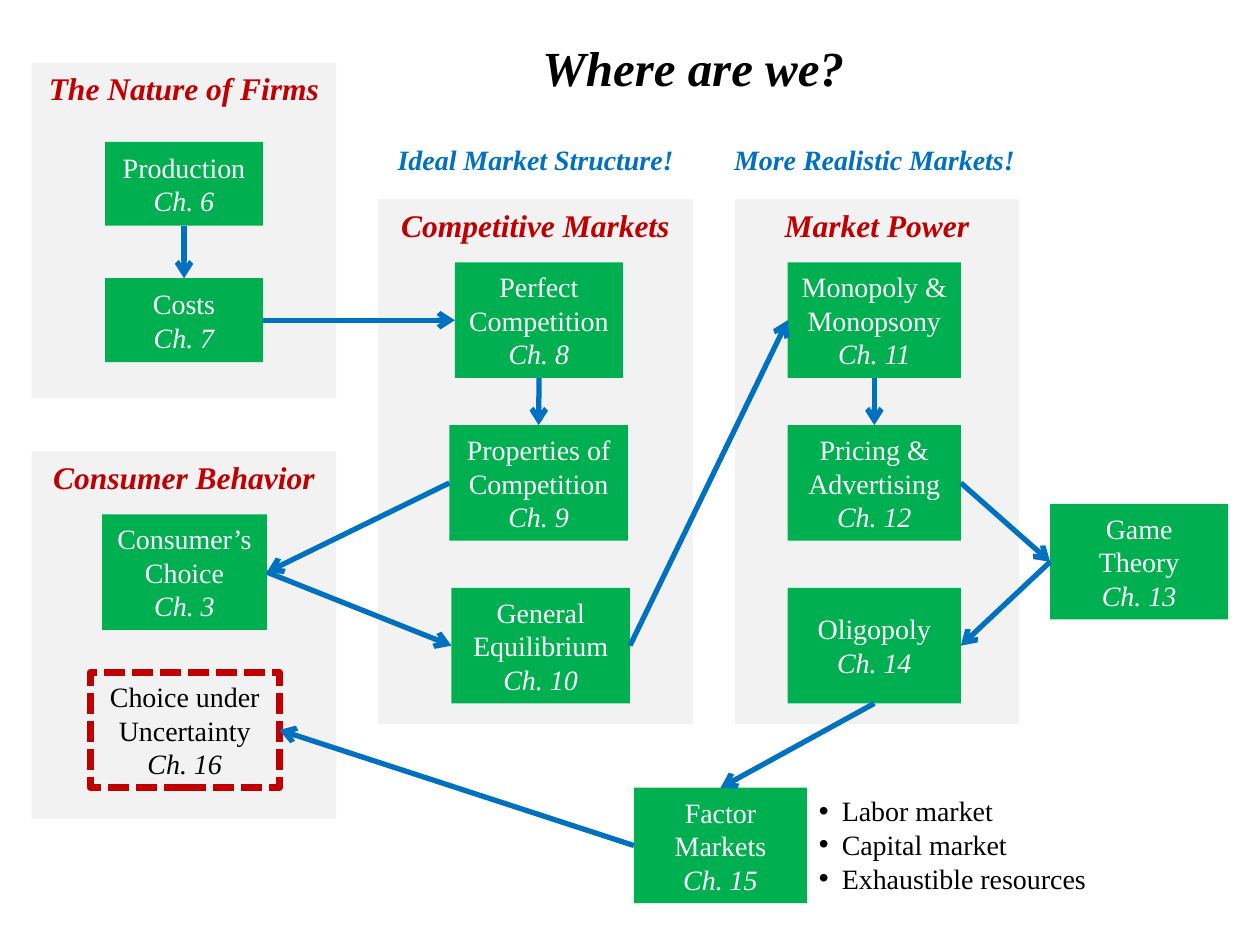
from dataclasses import dataclass

from lxml.etree import SubElement
from pptx import Presentation
from pptx.dml.color import RGBColor
from pptx.enum.dml import MSO_LINE
from pptx.enum.shapes import MSO_CONNECTOR, MSO_SHAPE
from pptx.enum.text import MSO_ANCHOR, MSO_AUTO_SIZE, PP_ALIGN
from pptx.oxml.ns import qn
from pptx.shapes.autoshape import Shape
from pptx.slide import Slide
from pptx.util import Cm, Pt

GREY = RGBColor(0xF2, 0xF2, 0xF2)
GREEN = RGBColor(0x00, 0xB0, 0x50)
BLUE = RGBColor(0x00, 0x70, 0xC0)
RED = RGBColor(0xC0, 0x00, 0x00)
WHITE = RGBColor(0xFF, 0xFF, 0xFF)
BLACK = RGBColor(0x00, 0x00, 0x00)
FONT = "Times New Roman"
TOP, LEFT, BOTTOM, RIGHT = range(4)  # connection sites of a rectangle
ROWS = [5.29 + 3.28 * i for i in range(3)]
LOW, TALL = 1.69, 2.33


@dataclass
class Panel:
    title: str
    x: float
    y: float
    w: float
    h: float


@dataclass
class Topic:
    name: str
    x: float
    y: float
    w: float
    h: float = TALL
    next: bool = False


@dataclass
class Label:
    text: str
    x: float
    y: float
    w: float
    h: float
    size: int
    color: RGBColor


PANELS = [
    Panel("The Nature of Firms", 0.64, 1.27, 6.14, 6.77),
    Panel("Competitive Markets", 7.62, 4.02, 6.35, 10.58),
    Panel("Consumer Behavior", 0.64, 9.1, 6.14, 7.41),
    Panel("Market Power", 14.82, 4.02, 5.72, 10.58),
]
# Topics by chapter
TOPICS = {
    6: Topic("Production", 2.12, 2.86, 3.18, LOW),
    7: Topic("Costs", 2.12, 5.61, 3.18, LOW),
    8: Topic("Perfect Competition", 9.17, ROWS[0], 3.39),
    9: Topic("Properties of Competition", 9.06, ROWS[1], 3.6),
    10: Topic("General Equilibrium", 9.1, ROWS[2], 3.6),
    3: Topic("Consumer’s Choice", 2.06, 10.37, 3.32),
    11: Topic("Monopoly & Monopsony", 15.88, ROWS[0], 3.49),
    12: Topic("Pricing & Advertising", 15.88, ROWS[1], 3.49),
    13: Topic("Game Theory", 21.17, 10.16, 3.59),
    14: Topic("Oligopoly", 15.88, ROWS[2], 3.49),
    15: Topic("Factor Markets", 12.78, 15.88, 3.49),
    16: Topic("Choice under Uncertainty", 1.82, 13.55, 3.81, next=True),
}
# From chapter and site, to chapter and site
ARROWS = [
    (6, BOTTOM, 7, TOP),
    (7, RIGHT, 8, LEFT),
    (8, BOTTOM, 9, TOP),
    (9, LEFT, 3, RIGHT),
    (3, RIGHT, 10, LEFT),
    (10, RIGHT, 11, LEFT),
    (11, BOTTOM, 12, TOP),
    (12, RIGHT, 13, LEFT),
    (13, LEFT, 14, RIGHT),
    (14, BOTTOM, 15, TOP),
    (15, LEFT, 16, RIGHT),
]
LABELS = [
    Label("Ideal Market Structure!", 7.6, 2.75, 6.4, 0.94, 16, BLUE),
    Label("More Realistic Markets!", 14.43, 2.75, 6.4, 0.94, 16, BLUE),
    Label("Where are we?", 8.03, 0.64, 11.89, 1.45, 28, BLACK),
]
FACTORS = ["Labor market", "Capital market", "Exhaustible resources"]


def write(shape: Shape, lines: list[str], size: int, color: RGBColor,
          align: PP_ALIGN = PP_ALIGN.CENTER) -> list:
    """Fill the shape with one paragraph a line and return the paragraphs."""
    frame = shape.text_frame
    frame.word_wrap = True
    frame.text = "\n".join(lines)
    for para in frame.paragraphs:
        para.alignment = align
        font = para.font
        font.name, font.size, font.color.rgb = FONT, Pt(size), color
    return list(frame.paragraphs)


def slant(para) -> None:
    para.font.bold = para.font.italic = True


def add_rect(slide: Slide, item: Panel | Topic) -> Shape:
    rect = slide.shapes.add_shape(
        MSO_SHAPE.RECTANGLE, Cm(item.x), Cm(item.y), Cm(item.w), Cm(item.h))
    rect.shadow.inherit = False
    rect.line.fill.background()
    return rect


def add_panel(slide: Slide, panel: Panel) -> None:
    rect = add_rect(slide, panel)
    rect.fill.solid()
    rect.fill.fore_color.rgb = GREY
    rect.text_frame.vertical_anchor = MSO_ANCHOR.TOP
    slant(write(rect, [panel.title], 18, RED)[0])


def add_topic(slide: Slide, chapter: int, topic: Topic) -> Shape:
    rect = add_rect(slide, topic)
    if topic.next:
        rect.fill.background()
        rect.line.color.rgb = RED
        rect.line.width = Pt(4)
        rect.line.dash_style = MSO_LINE.SQUARE_DOT
    else:
        rect.fill.solid()
        rect.fill.fore_color.rgb = GREEN
    rect.text_frame.vertical_anchor = MSO_ANCHOR.MIDDLE
    color = BLACK if topic.next else WHITE
    write(rect, [topic.name, f"Ch. {chapter}"], 16, color)[1].font.italic = True
    return rect


def add_arrow(slide: Slide, start: Shape, exit: int, end: Shape, entry: int) -> None:
    arrow = slide.shapes.add_connector(MSO_CONNECTOR.STRAIGHT, 0, 0, 0, 0)
    arrow.begin_connect(start, exit)
    arrow.end_connect(end, entry)
    arrow.line.color.rgb = BLUE
    arrow.line.width = Pt(3)
    SubElement(arrow.line._get_or_add_ln(), qn("a:tailEnd"), type="arrow")
    SubElement(arrow._element.spPr, qn("a:effectLst"))


def add_text(slide: Slide, x: float, y: float, w: float, h: float) -> Shape:
    box = slide.shapes.add_textbox(Cm(x), Cm(y), Cm(w), Cm(h))
    box.text_frame.auto_size = MSO_AUTO_SIZE.SHAPE_TO_FIT_TEXT
    return box


def add_bullets(slide: Slide, lines: list[str]) -> None:
    box = add_text(slide, 16.26, 15.88, 6.81, 2.31)
    for para in write(box, lines, 16, BLACK, PP_ALIGN.LEFT):
        props = para._p.get_or_add_pPr()
        props.set("marL", str(Cm(0.46)))
        props.set("indent", str(-Cm(0.46)))
        mark = props.makeelement(qn("a:buChar"), {"char": "•"})
        face = props.makeelement(qn("a:buFont"), {"typeface": "Arial"})
        props.insert(0, mark)
        props.insert(0, face)


def main() -> None:
    deck = Presentation()
    deck.slide_width, deck.slide_height = Cm(25.4), Cm(19.05)
    slide = deck.slides.add_slide(deck.slide_layouts[6])
    for panel in PANELS:
        add_panel(slide, panel)
    boxes = {num: add_topic(slide, num, topic) for num, topic in TOPICS.items()}
    for start, exit, end, entry in ARROWS:
        add_arrow(slide, boxes[start], exit, boxes[end], entry)
    add_bullets(slide, FACTORS)
    for label in LABELS:
        box = add_text(slide, label.x, label.y, label.w, label.h)
        slant(write(box, [label.text], label.size, label.color)[0])
    deck.save("out.pptx")


if __name__ == "__main__":
    main()
